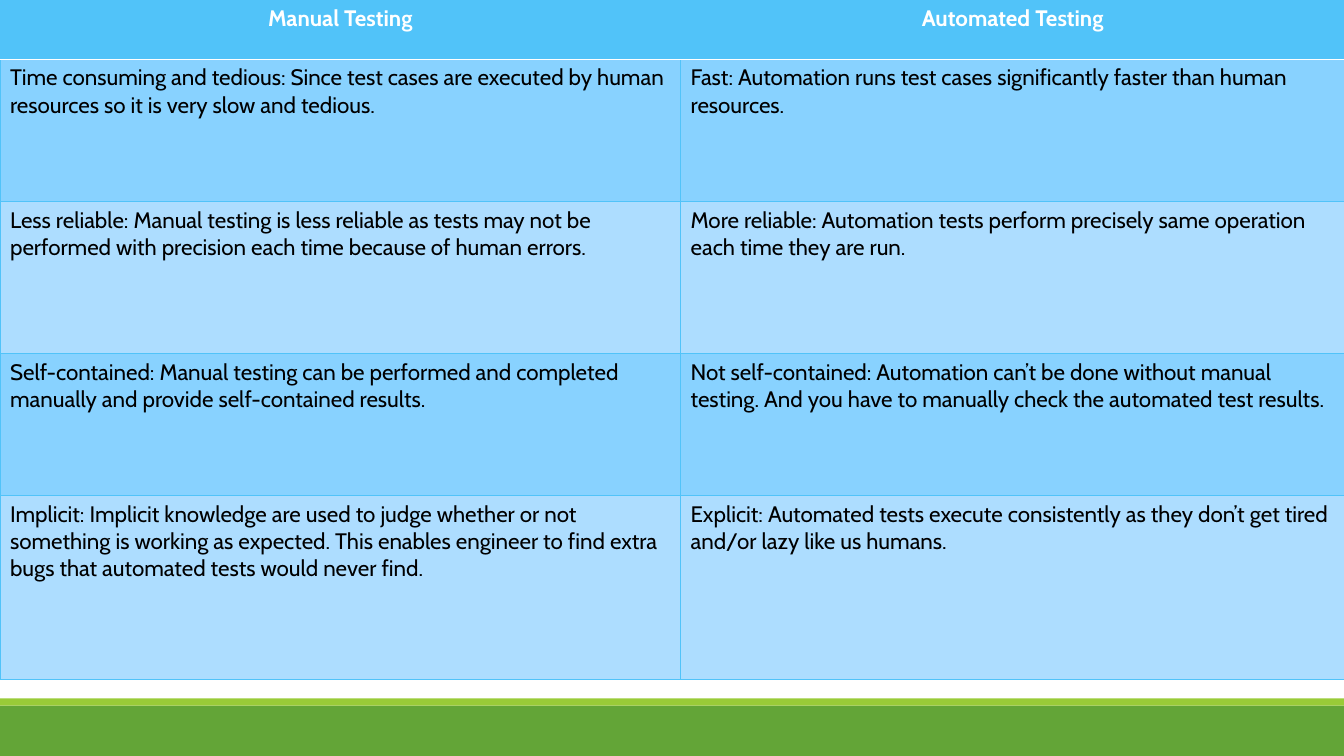
from typing import NamedTuple

import pptx
import pptx.dml.color
import pptx.enum.shapes
import pptx.enum.text
import pptx.oxml
import pptx.oxml.ns
import pptx.slide
import pptx.table
import pptx.util

Inches = pptx.util.Inches
SKY, WHITE, BLACK = "51C3F9", "FFFFFF", "000000"
BANDS = ("88D2FF", "ADDDFF")
WIDTHS = (6.75, 6.59)


class Band(NamedTuple):
    top: float
    height: float
    color: str


class Row(NamedTuple):
    height: float
    manual: str
    auto: str


STRIPES = (Band(7, 0.5, "63A537"), Band(6.93, 0.07, "99CB38"))

ROWS = (
    Row(0.59, "Manual Testing", "Automated Testing"),
    Row(1.41,
        "Time consuming and tedious: Since test cases are executed by human "
        "resources so it is very slow and tedious.",
        "Fast: Automation runs test cases significantly faster than human resources."),
    Row(1.51,
        "Less reliable: Manual testing is less reliable as tests may not be "
        "performed with precision each time because of human errors.",
        "More reliable: Automation tests perform precisely same operation "
        "each time they are run."),
    Row(1.41,
        "Self-contained: Manual testing can be performed and completed "
        "manually and provide self-contained results.",
        "Not self-contained: Automation can’t be done without manual testing. "
        "And you have to manually check the automated test results."),
    Row(1.82,
        "Implicit: Implicit knowledge are used to judge whether or not "
        "something is working as expected. This enables engineer to find "
        "extra bugs that automated tests would never find.",
        "Explicit: Automated tests execute consistently as they don’t get "
        "tired and/or lazy like us humans."),
)


def rgb(code: str) -> pptx.dml.color.RGBColor:
    return pptx.dml.color.RGBColor.from_string(code)


def stripe(slide: pptx.slide.Slide, band: Band) -> None:
    shape = slide.shapes.add_shape(
        pptx.enum.shapes.MSO_SHAPE.RECTANGLE,
        0, Inches(band.top), Inches(13.33), Inches(band.height))
    shape.shadow.inherit = False
    shape.fill.solid()
    shape.fill.fore_color.rgb = rgb(band.color)
    shape.line.fill.background()


def border(cell: pptx.table._Cell, line: int) -> None:
    """Line the cell in sky blue, with a white rule under the header row."""
    props = cell._tc.get_or_add_tcPr()
    white = {0: "B", 1: "T"}.get(line)
    for spot, side in enumerate("LRTB"):
        color, width = (WHITE, 1.25) if side == white else (SKY, 1)
        props.insert(spot, pptx.oxml.parse_xml(
            f'<a:ln{side} {pptx.oxml.ns.nsdecls("a")} w="{pptx.util.Pt(width)}">'
            f'<a:solidFill><a:srgbClr val="{color}"/></a:solidFill></a:ln{side}>'))


def write(cell: pptx.table._Cell, text: str, line: int) -> None:
    head = line == 0
    cell.fill.solid()
    cell.fill.fore_color.rgb = rgb(SKY if head else BANDS[(line - 1) % 2])
    border(cell, line)
    para = cell.text_frame.paragraphs[0]
    align = pptx.enum.text.PP_ALIGN
    para.alignment = align.CENTER if head else align.LEFT
    run = para.add_run()
    run.text = text
    run.font.name = "Cabin"
    run.font.size = pptx.util.Pt(16)
    run.font.bold = head
    run.font.color.rgb = rgb(WHITE if head else BLACK)


def grid(slide: pptx.slide.Slide) -> None:
    high = sum(row.height for row in ROWS)
    table = slide.shapes.add_table(
        len(ROWS), len(WIDTHS), 0, 0, Inches(sum(WIDTHS)), Inches(high)).table
    table.horz_banding = False
    for column, width in zip(table.columns, WIDTHS):
        column.width = Inches(width)
    for line, row in enumerate(ROWS):
        table.rows[line].height = Inches(row.height)
        for col, text in enumerate((row.manual, row.auto)):
            write(table.cell(line, col), text, line)


def main() -> None:
    deck = pptx.Presentation()
    deck.slide_width, deck.slide_height = Inches(13.33), Inches(7.5)
    slide = deck.slides.add_slide(deck.slide_layouts[6])
    for band in STRIPES:
        stripe(slide, band)
    grid(slide)
    deck.save("out.pptx")


if __name__ == "__main__":
    main()
